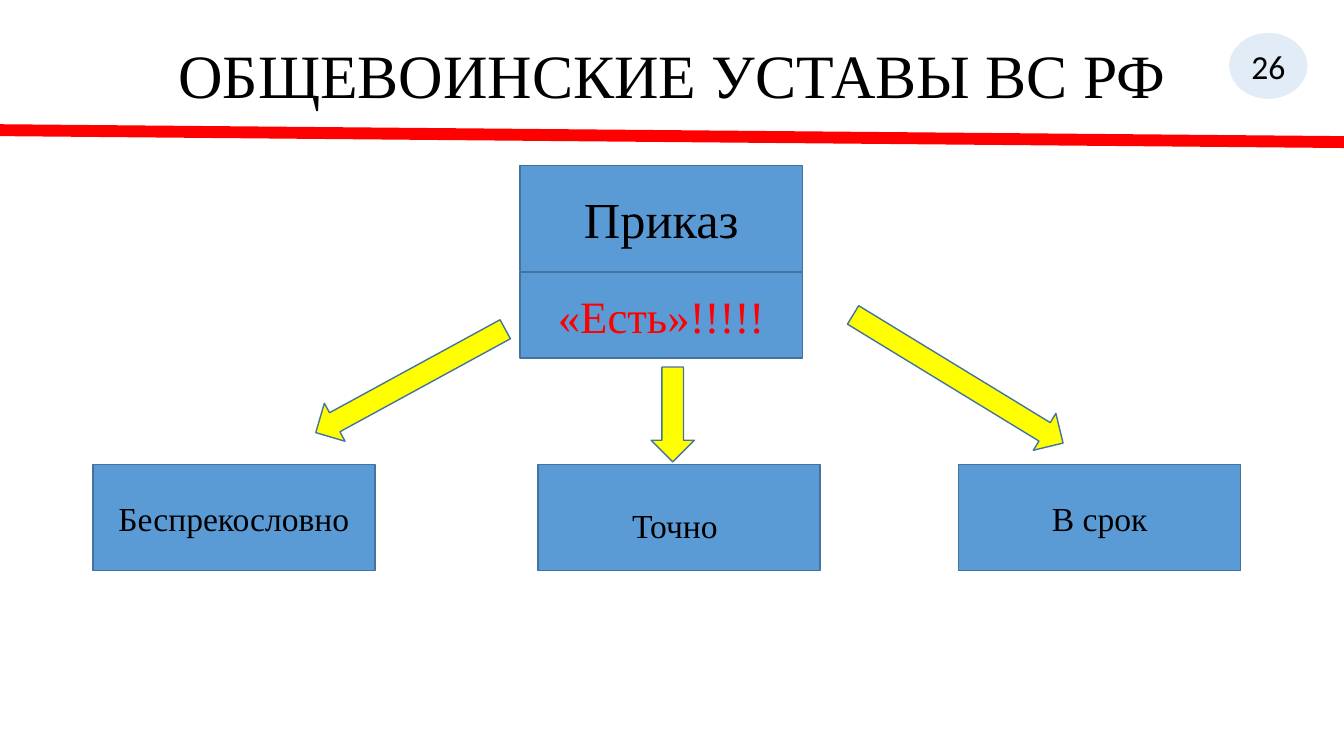
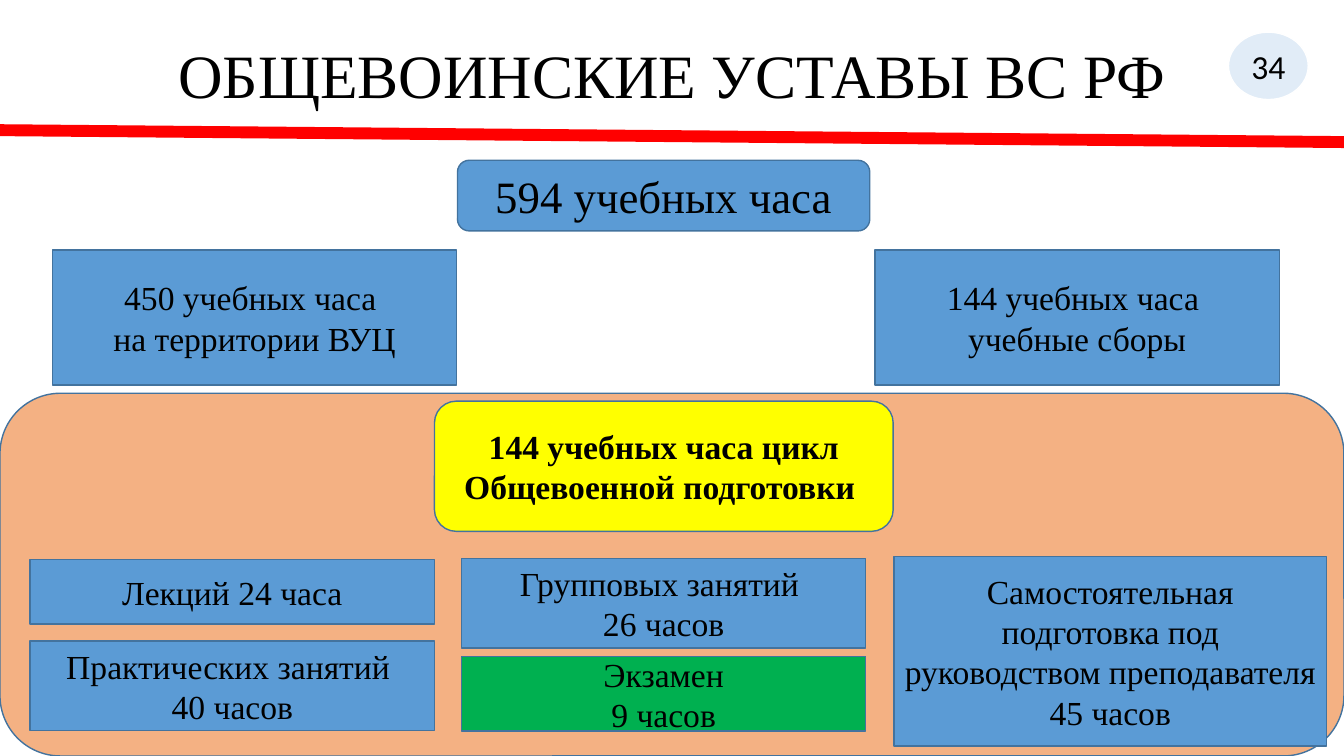
"""Build two slides on the general military regulations."""
from dataclasses import dataclass

from lxml import etree
from pptx import Presentation
from pptx.dml.color import RGBColor
from pptx.enum.shapes import MSO_CONNECTOR, MSO_SHAPE
from pptx.enum.text import MSO_ANCHOR, MSO_AUTO_SIZE, PP_ALIGN
from pptx.oxml.ns import qn
from pptx.presentation import Presentation as Deck
from pptx.shapes.autoshape import Shape
from pptx.slide import Slide
from pptx.text.text import TextFrame
from pptx.util import Cm, Pt

BLACK = RGBColor(0x00, 0x00, 0x00)
WHITE = RGBColor(0xFF, 0xFF, 0xFF)
RED = RGBColor(0xFF, 0x00, 0x00)
BLUE = RGBColor(0x5B, 0x9B, 0xD5)
OUTLINE = RGBColor(0x43, 0x73, 0x9E)
YELLOW = RGBColor(0xFF, 0xFF, 0x00)
PEACH = RGBColor(0xF4, 0xB1, 0x83)
GREEN = RGBColor(0x00, 0xB0, 0x50)

RECT = MSO_SHAPE.RECTANGLE
ROUNDED = MSO_SHAPE.ROUNDED_RECTANGLE
OVAL = MSO_SHAPE.OVAL
DOWN_ARROW = MSO_SHAPE.DOWN_ARROW
STRAIGHT = MSO_CONNECTOR.STRAIGHT
CENTER = PP_ALIGN.CENTER
TOP = MSO_ANCHOR.TOP
MIDDLE = MSO_ANCHOR.MIDDLE
NO_AUTOFIT = MSO_AUTO_SIZE.NONE

SERIF = "Times New Roman"
SANS = "Calibri"
TITLE = "ОБЩЕВОИНСКИЕ УСТАВЫ ВС РФ"
TITLE_ONLY = 5
SLIDE_WIDTH, SLIDE_HEIGHT = 33.87, 19.05
ORDER_WIDTH, ORDER_HEIGHT, ORDER_LEFT = 7.11, 2.67, 13.11
DEMAND_TOP = 11.71
HOURS_WIDTH = 10.19
LEFT_COLUMN, MIDDLE_COLUMN = 0.76, 11.63


@dataclass(frozen=True)
class Block:
    """A filled shape with optional centred text; lengths in centimetres."""

    left: float
    top: float
    width: float
    height: float
    text: str = ""
    size: float = 24
    fill: RGBColor = BLUE
    color: RGBColor = BLACK
    kind: MSO_SHAPE = RECT
    font: str = SERIF
    bold: bool = False
    outline: RGBColor = OUTLINE
    rotation: float = 0
    side_inset: float = 0.25
    top_inset: float = 0.13


ORDER_BLOCKS = (
    Block(ORDER_LEFT, 4.17, ORDER_WIDTH, ORDER_HEIGHT, "Приказ", 36),
    Block(2.34, DEMAND_TOP, ORDER_WIDTH, ORDER_HEIGHT, "Беспрекословно"),
    Block(13.56, DEMAND_TOP, ORDER_WIDTH, ORDER_HEIGHT, "Точно ", top_inset=0.48),
    Block(24.16, DEMAND_TOP, ORDER_WIDTH, ORDER_HEIGHT, "В срок"),
    Block(9.8, 6.88, 1.09, 5.44, fill=YELLOW, kind=DOWN_ARROW, rotation=61.4),
    Block(16.41, 9.25, 1.09, 2.39, fill=YELLOW, kind=DOWN_ARROW),
    Block(23.6, 6.45, 1.09, 6.2, fill=YELLOW, kind=DOWN_ARROW, rotation=301.4),
    Block(ORDER_LEFT, 6.86, ORDER_WIDTH, 2.16, "«Есть»!!!!!", 32, color=RED),
)

HOURS_BLOCKS = (
    Block(11.53, 4.04, 10.39, 1.78, "594 учебных часа", 32, kind=ROUNDED),
    Block(1.32, 6.3, HOURS_WIDTH, 3.4, "450 учебных часа \nна территории ВУЦ"),
    Block(22.05, 6.3, HOURS_WIDTH, 3.4, "144 учебных часа \nучебные сборы"),
    Block(0, 9.91, SLIDE_WIDTH, 9.14, fill=PEACH, kind=ROUNDED),
    Block(10.95, 10.11, 11.56, 3.28, "144 учебных часа цикл Общевоенной подготовки ",
          fill=YELLOW, kind=ROUNDED, bold=True),
    Block(LEFT_COLUMN, 14.1, HOURS_WIDTH, 1.63, "Лекций 24 часа"),
    Block(LEFT_COLUMN, 16.15, HOURS_WIDTH, 2.26, "Практических занятий \n40 часов"),
    Block(MIDDLE_COLUMN, 14.07, HOURS_WIDTH, 2.26, "Групповых занятий \n26 часов"),
    Block(22.53, 14.02, 10.9, 4.78,
          "Самостоятельная подготовка под руководством преподавателя\n45 часов"),
    Block(MIDDLE_COLUMN, 16.54, HOURS_WIDTH, 1.88, "Экзамен\n9 часов", fill=GREEN),
)


def write_text(frame: TextFrame, text: str, font: str, size: float,
               color: RGBColor, bold: bool = False) -> None:
    """Fill a text frame with centred paragraphs of one style."""
    frame.text = text
    frame.word_wrap = True
    for paragraph in frame.paragraphs:
        paragraph.alignment = CENTER
        paragraph.font.name = font
        paragraph.font.size = Pt(size)
        paragraph.font.bold = bold
        paragraph.font.color.rgb = color


def draw_block(slide: Slide, block: Block) -> Shape:
    """Draw one block and return its shape."""
    shape = slide.shapes.add_shape(block.kind, Cm(block.left), Cm(block.top),
                                   Cm(block.width), Cm(block.height))
    shape.shadow.inherit = False
    shape.rotation = block.rotation
    shape.fill.solid()
    shape.fill.fore_color.rgb = block.fill
    shape.line.color.rgb = block.outline
    shape.line.width = Pt(1)
    if block.text:
        frame = shape.text_frame
        frame.vertical_anchor = MIDDLE
        frame.margin_left = frame.margin_right = Cm(block.side_inset)
        frame.margin_top = Cm(block.top_inset)
        write_text(frame, block.text, block.font, block.size, block.color, block.bold)
    return shape


def draw_header(slide: Slide, number: int) -> None:
    """Draw the title, the red rule and the number badge."""
    title = slide.shapes.title
    title.left, title.top, title.width, title.height = Cm(2.34), Cm(1.02), Cm(29.21), Cm(3.68)
    frame = title.text_frame
    frame.auto_size = NO_AUTOFIT
    frame.vertical_anchor = TOP
    write_text(frame, TITLE, SERIF, 44, BLACK)
    frame.paragraphs[0].line_spacing = 0.9

    rule = slide.shapes.add_connector(STRAIGHT, 0, Cm(3.28), Cm(SLIDE_WIDTH), Cm(3.58))
    rule.line.color.rgb = RED
    rule.line.width = Pt(8.5)
    etree.SubElement(rule.element.spPr, qn("a:effectLst"))

    badge = draw_block(slide, Block(30.96, 0.81, 2.01, 1.7, str(number), kind=OVAL,
                                    font=SANS, outline=WHITE, side_inset=0))
    tint = badge.element.spPr.find(qn("a:solidFill")).find(qn("a:srgbClr"))
    etree.SubElement(tint, qn("a:alpha"), val="18000")


def add_slide(deck: Deck, number: int, blocks: tuple[Block, ...]) -> None:
    """Add a slide with the shared header and its blocks."""
    slide = deck.slides.add_slide(deck.slide_layouts[TITLE_ONLY])
    draw_header(slide, number)
    for block in blocks:
        draw_block(slide, block)


def main() -> None:
    """Build and save the deck."""
    deck = Presentation()
    deck.slide_width, deck.slide_height = Cm(SLIDE_WIDTH), Cm(SLIDE_HEIGHT)
    add_slide(deck, 26, ORDER_BLOCKS)
    add_slide(deck, 34, HOURS_BLOCKS)
    deck.save("out.pptx")


if __name__ == "__main__":
    main()
